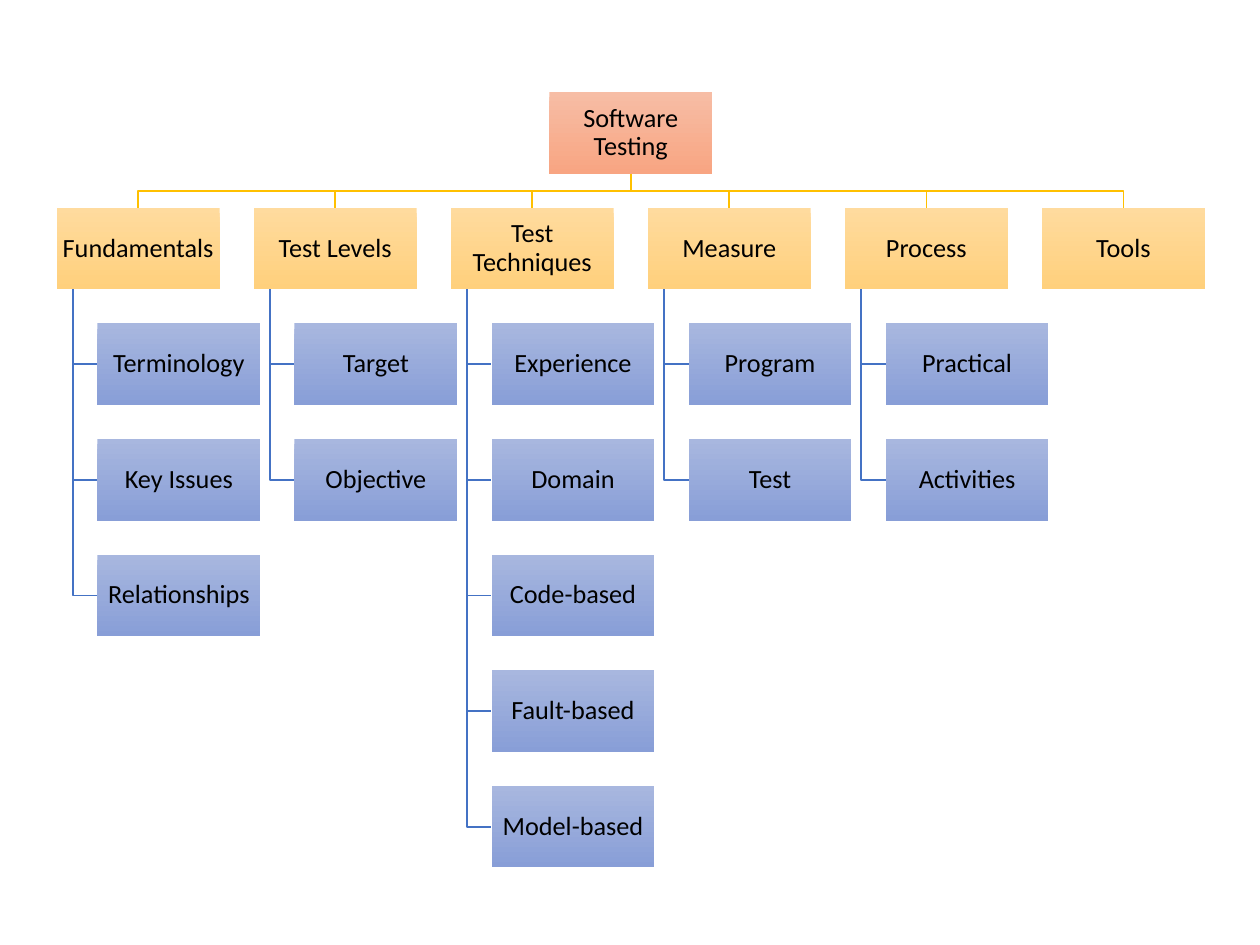
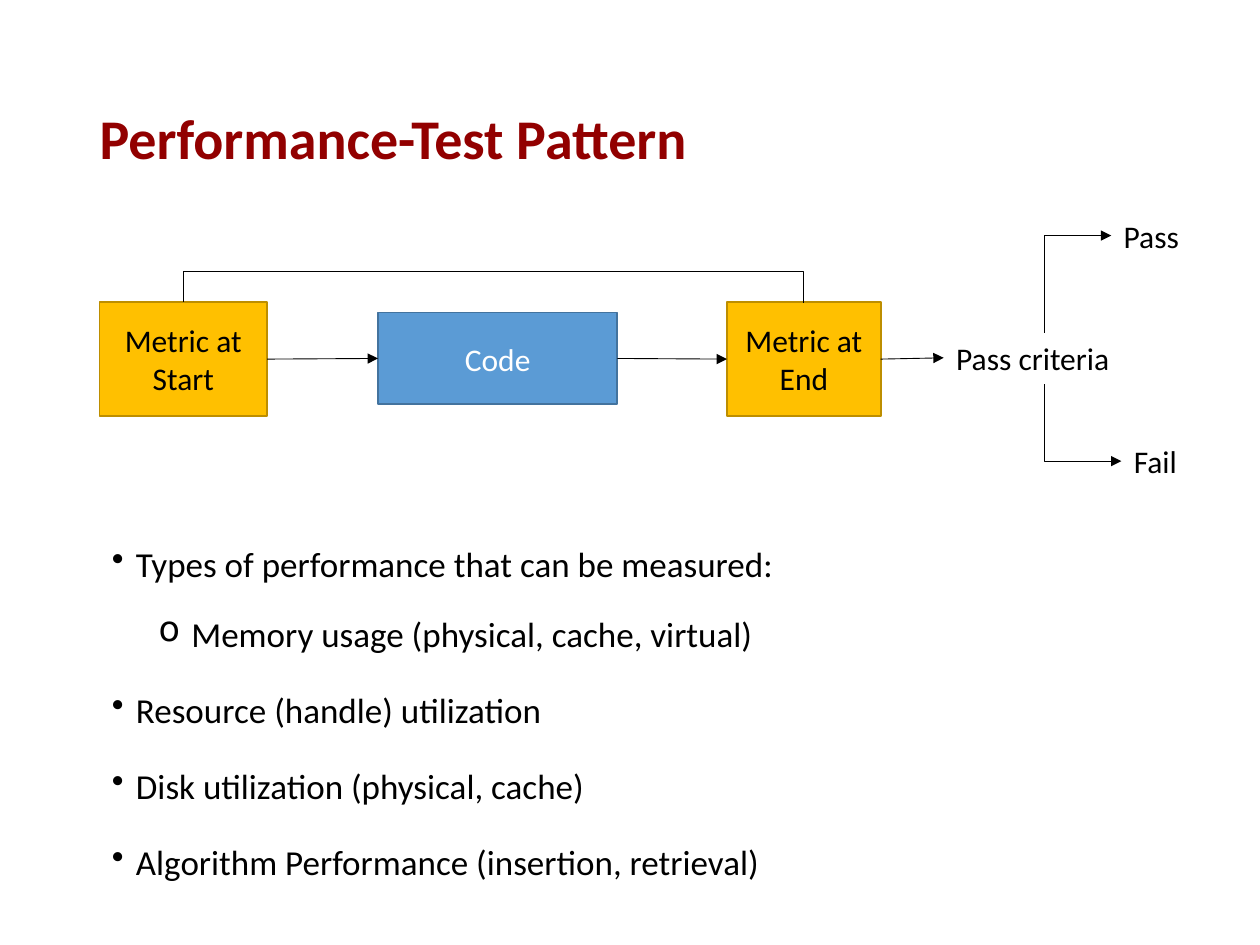
from lxml import etree
from pptx import Presentation
from pptx import util as u
from pptx.dml.color import RGBColor
from pptx.enum import shapes, text
from pptx.oxml.ns import qn

FONT = "Calibri"
COLORS = {
    "black": "000000", "white": "FFFFFF", "title": "920000",
    "amber": "FFC000", "amber_edge": "BD8E00",
    "code": "5B9BD5", "code_edge": "43739E", "topic_link": "4472C4",
}
GRADIENTS = {
    "root": ("F7BDA5", "F8A582"),
    "branch": ("FFDB9E", "FFD07C"),
    "topic": ("A8B7DF", "889ED7"),
}
BRANCHES = [
    ("Fundamentals", ["Terminology", "Key Issues", "Relationships"]),
    ("Test Levels", ["Target", "Objective"]),
    ("Test Techniques", ["Experience", "Domain", "Code-based", "Fault-based", "Model-based"]),
    ("Measure", ["Program", "Test"]),
    ("Process", ["Practical", "Activities"]),
    ("Tools", []),
]
PERFORMANCE_TYPES = [
    ("Types of performance that can be measured:", 0),
    ("Memory usage (physical, cache, virtual)", 1),
    ("Resource (handle) utilization", 0),
    ("Disk utilization (physical, cache)", 0),
    ("Algorithm Performance (insertion, retrieval)", 0),
]
BULLETS = [("•", 0.19, 0.19, 7.5), ("o", 0.63, 0.26, 3.8)]

TREE_LEFT, TREE_TOP = 0.45, 1.65
COLUMN = (8.27 - TREE_LEFT) / (len(BRANCHES) - 1)
NODE_WIDTH = COLUMN / 1.21
NODE_HEIGHT = NODE_WIDTH / 2
ROW = NODE_HEIGHT * 1.42


def rgb(name):
    """Return the named palette colour."""
    return RGBColor.from_string(COLORS[name])


def inches(*lengths):
    """Convert inch values to whole EMU."""
    return [u.Inches(length) for length in lengths]


def write(paragraph, words, size, color="black", bold=False):
    """Add one formatted run to a paragraph."""
    run = paragraph.add_run()
    run.text = words
    run.font.name, run.font.size, run.font.bold = FONT, u.Pt(size), bold
    run.font.color.rgb = rgb(color)


def add_box(slide, box, words, size, color="black"):
    """Add a rectangle with centred text and no shadow."""
    shape = slide.shapes.add_shape(shapes.MSO_SHAPE.RECTANGLE, *inches(*box))
    shape.shadow.inherit = False
    frame = shape.text_frame
    frame.word_wrap = True
    frame.vertical_anchor = text.MSO_ANCHOR.MIDDLE
    frame.paragraphs[0].alignment = text.PP_ALIGN.CENTER
    write(frame.paragraphs[0], words, size, color)
    return shape


def add_node(slide, column, row, words, level):
    """Add a gradient tree node at a column and row of the tree grid."""
    box = (TREE_LEFT + column * COLUMN, TREE_TOP + row * ROW, NODE_WIDTH, NODE_HEIGHT)
    shape = add_box(slide, box, words, 15)
    shape.fill.gradient()
    shape.fill.gradient_angle = 270
    for stop, value in zip(shape.fill.gradient_stops, GRADIENTS[level]):
        stop.color.rgb = RGBColor.from_string(value)
    shape.line.fill.background()
    frame = shape.text_frame
    frame.margin_left = frame.margin_right = frame.margin_top = frame.margin_bottom = u.Inches(0.01)
    frame.paragraphs[0].line_spacing = 0.9


def add_link(slide, points, color):
    """Draw an open right-angled tree link through the points."""
    start, *rest = [inches(*point) for point in points]
    builder = slide.shapes.build_freeform(*start)
    builder.add_line_segments(rest, close=False)
    shape = builder.convert_to_shape()
    shape.shadow.inherit = False
    shape.fill.background()
    shape.line.color.rgb = rgb(color)
    shape.line.width = u.Pt(1)


def add_process_box(slide, box, words, fill, edge, color="black"):
    """Add a solid process step with a thin outline."""
    shape = add_box(slide, box, words, 18, color)
    shape.fill.solid()
    shape.fill.fore_color.rgb = rgb(fill)
    shape.line.color.rgb = rgb(edge)
    shape.line.width = u.Pt(1)
    return shape


def add_label(slide, box, words):
    """Add an unwrapped text label."""
    label = slide.shapes.add_textbox(*inches(*box))
    label.text_frame.word_wrap = False
    label.text_frame.auto_size = text.MSO_AUTO_SIZE.SHAPE_TO_FIT_TEXT
    write(label.text_frame.paragraphs[0], words, 18)
    return label


def style_connector(connector, arrow=True):
    """Give a connector a thin black line without shadow."""
    connector.line.color.rgb = rgb("black")
    connector.line.width = u.Pt(0.5)
    properties = connector.element.spPr
    if arrow:
        etree.SubElement(properties.find(qn("a:ln")), qn("a:tailEnd"), type="triangle")
    etree.SubElement(properties, qn("a:effectLst"))


def add_arrow(slide, source, target):
    """Join the right side of one shape to the left side of the next."""
    connector = slide.shapes.add_connector(shapes.MSO_CONNECTOR.STRAIGHT, 0, 0, 0, 0)
    connector.begin_connect(source, 3)
    connector.end_connect(target, 1)
    style_connector(connector)


def add_elbow(slide, start, end, preset, turn, flips, adjust=None):
    """Add a bent connector that leaves its start vertically."""
    connector = slide.shapes.add_connector(shapes.MSO_CONNECTOR.ELBOW, 0, 0, 0, 0)
    (x1, y1), (x2, y2) = start, end
    width, height = max(abs(y2 - y1), 0.01), abs(x2 - x1)
    box = ((x1 + x2 - width) / 2, (y1 + y2 - height) / 2, width, height)
    connector.left, connector.top, connector.width, connector.height = inches(*box)
    transform = connector.element.spPr.find(qn("a:xfrm"))
    transform.set("rot", str(turn * 60000))
    for flip in ("flipH", "flipV"):
        transform.set(flip, "1" if flip[-1] in flips else "0")
    geometry = connector.element.spPr.find(qn("a:prstGeom"))
    geometry.set("prst", preset)
    if adjust is not None:
        values = geometry.find(qn("a:avLst"))
        etree.SubElement(values, qn("a:gd"), name="adj1", fmla=f"val {adjust}")
    style_connector(connector, arrow=adjust is None)


def add_title(slide, words):
    """Place and format the title placeholder."""
    title = slide.shapes.title
    title.left, title.top, title.width, title.height = inches(0.69, 0.4, 8.62, 1.45)
    title.text_frame.vertical_anchor = text.MSO_ANCHOR.MIDDLE
    paragraph = title.text_frame.paragraphs[0]
    paragraph.alignment = text.PP_ALIGN.LEFT
    paragraph.line_spacing = 0.9
    write(paragraph, words, 32, "title", True)


def add_bullets(slide, box, items):
    """Add a two-level bullet list."""
    frame = slide.shapes.add_textbox(*inches(*box)).text_frame
    frame.word_wrap = True
    for index, (words, level) in enumerate(items):
        paragraph = frame.add_paragraph() if index else frame.paragraphs[0]
        mark, margin, hanging, before = BULLETS[level]
        properties = paragraph._p.get_or_add_pPr()
        properties.set("marL", str(u.Inches(margin)))
        properties.set("indent", str(-u.Inches(hanging)))
        etree.SubElement(properties, qn("a:buChar"), char=mark)
        paragraph.level = level
        paragraph.line_spacing = 1.5
        paragraph.space_before = u.Pt(before if index else 0)
        write(paragraph, words, 20)


def build_topic_tree(slide):
    """Draw the software testing topic tree."""
    middle = (len(BRANCHES) - 1) / 2
    half = NODE_WIDTH / 2
    root_x = TREE_LEFT + middle * COLUMN + half
    root_bottom = TREE_TOP - ROW + NODE_HEIGHT
    bus = (root_bottom + TREE_TOP) / 2
    for column, (_, topics) in enumerate(BRANCHES):
        left = TREE_LEFT + column * COLUMN
        center = left + half
        add_link(slide, [(root_x, root_bottom), (root_x, bus), (center, bus), (center, TREE_TOP)], "amber")
        stem = left + NODE_WIDTH * 0.1
        for row in range(1, len(topics) + 1):
            y = TREE_TOP + row * ROW + NODE_HEIGHT / 2
            add_link(slide, [(stem, TREE_TOP + NODE_HEIGHT), (stem, y), (left + NODE_WIDTH / 4, y)], "topic_link")
    add_node(slide, middle, -1, "Software Testing", "root")
    topic_shift = NODE_WIDTH / 4 / COLUMN
    for column, (branch, topics) in enumerate(BRANCHES):
        add_node(slide, column, 0, branch, "branch")
        for row, topic in enumerate(topics, 1):
            add_node(slide, column + topic_shift, row, topic, "topic")


def build_performance_pattern(slide):
    """Draw the performance-test flow and its bullet list."""
    add_title(slide, "Performance-Test Pattern")
    add_bullets(slide, (0.79, 4.09, 8.62, 3.06), PERFORMANCE_TYPES)
    steps = [
        add_process_box(slide, (0.79, 2.4, 1.33, 0.9), "Metric at Start", "amber", "amber_edge"),
        add_process_box(slide, (3, 2.48, 1.9, 0.73), "Code", "code", "code_edge", "white"),
        add_process_box(slide, (5.77, 2.4, 1.22, 0.9), "Metric at End", "amber", "amber_edge"),
        add_label(slide, (7.49, 2.64, 1.59, 0.4), "Pass criteria"),
    ]
    add_label(slide, (8.82, 1.67, 0.76, 0.4), "Pass")
    add_label(slide, (8.9, 3.46, 0.61, 0.4), "Fail")
    for source, target in zip(steps, steps[1:]):
        add_arrow(slide, source, target)
    add_elbow(slide, (6.38, 2.4), (1.46, 2.4), "bentConnector3", 270, "V", 2500000)
    add_elbow(slide, (8.29, 2.64), (8.82, 1.87), "bentConnector2", 90, "HV")
    add_elbow(slide, (8.29, 3.05), (8.9, 3.66), "bentConnector2", 270, "H")


def main():
    """Build and save the presentation."""
    presentation = Presentation()
    presentation.slide_width, presentation.slide_height = inches(10, 7.5)
    title_only, blank = presentation.slide_layouts[5], presentation.slide_layouts[6]
    build_topic_tree(presentation.slides.add_slide(blank))
    build_performance_pattern(presentation.slides.add_slide(title_only))
    presentation.save("out.pptx")


if __name__ == "__main__":
    main()
